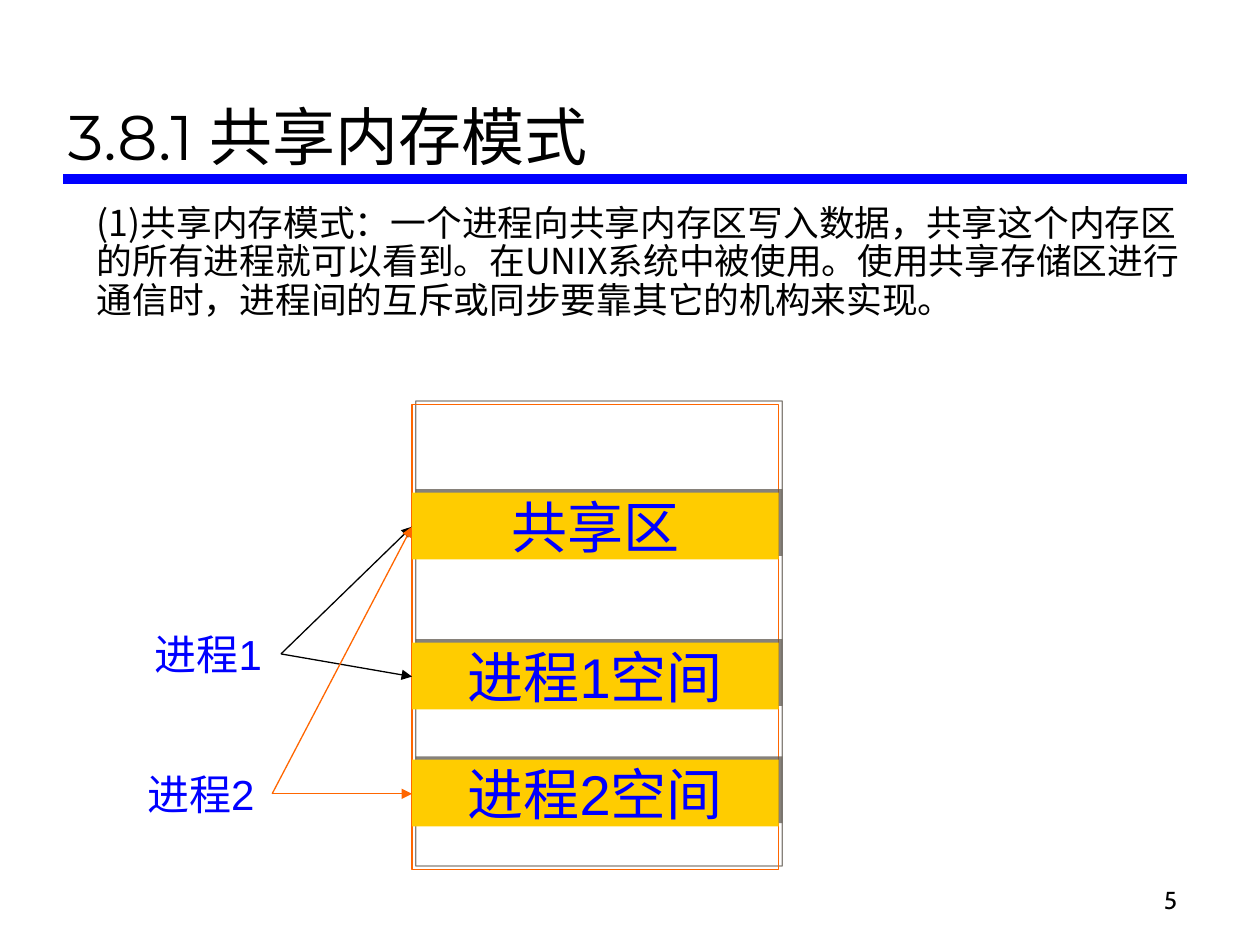
from dataclasses import dataclass

from lxml import etree
from pptx import Presentation
from pptx import util as u
from pptx.dml.color import RGBColor
from pptx.enum import shapes, text
from pptx.oxml import ns

COLORS = {"blue": "0000FF", "black": "000000", "orange": "FF6600",
          "gold": "FFCC00", "shadow": "5E574E"}
CJK = "Noto Sans CJK SC"
MEM_LEFT, MEM_WIDTH, BAND_HEIGHT = 3.27, 2.91, 0.53


@dataclass
class Label:
    words: str
    left: float
    top: float
    width: float
    height: float
    size: float
    font: str
    color: str = "black"
    anchor: text.MSO_ANCHOR = text.MSO_ANCHOR.TOP
    align: text.PP_ALIGN = text.PP_ALIGN.LEFT
    wrap: bool = True
    spacing: float = 1.0


@dataclass
class Band:
    words: str
    top: float


@dataclass
class Line:
    x1: float
    y1: float
    x2: float
    y2: float
    color: str
    width: float = 0.75
    arrow: bool = True


LABELS = [
    Label("5", 7.36, 6.81, 2.08, 0.5, 14, "Cabin",
          anchor=text.MSO_ANCHOR.BOTTOM, align=text.PP_ALIGN.RIGHT),
    Label("3.8.1 共享内存模式", 0.44, 0.17, 8.97, 1.25, 36, "Montserrat",
          anchor=text.MSO_ANCHOR.BOTTOM),
    Label("(1)共享内存模式：一个进程向共享内存区写入数据，共享这个内存区的所有进程就可以看到。"
          "在UNIX系统中被使用。使用共享存储区进行通信时，进程间的互斥或同步要靠其它的机构来实现。",
          0.67, 1.58, 8.9, 1.38, 20.4, CJK, spacing=0.9),
    Label("进程2", 1.07, 6.05, 1.13, 0.5, 24, "Arial", "blue", wrap=False),
    Label("进程1", 1.13, 4.94, 1.13, 0.5, 24, "Arial", "blue", wrap=False),
]
BANDS = [Band("共享区", 3.91), Band("进程1空间", 5.1), Band("进程2空间", 6.03)]
RULE = Line(0.5, 1.42, 9.42, 1.42, "blue", 6, False)
ARROWS = [
    Line(2.23, 5.19, MEM_LEFT, 4.18, "black"),
    Line(2.23, 5.19, MEM_LEFT, 5.37, "black"),
    Line(2.16, 6.3, MEM_LEFT, 6.3, "orange"),
    Line(2.16, 6.3, MEM_LEFT, 4.18, "orange"),
]


def rgb(name: str) -> RGBColor:
    """Look up a named colour."""
    return RGBColor.from_string(COLORS[name])


def write(tf, words: str, size: float, font: str, color: str, align) -> None:
    """Fill a text frame with one formatted paragraph."""
    tf.text = words
    p = tf.paragraphs[0]
    p.alignment = align
    for r in p.runs:
        r.font.size = u.Pt(size)
        r.font.name = font
        r.font.color.rgb = rgb(color)
        etree.SubElement(r.font._element, ns.qn("a:ea"), typeface=CJK)


def add_label(s, label: Label) -> None:
    """Add a text box."""
    sp = s.shapes.add_textbox(u.Inches(label.left), u.Inches(label.top),
                              u.Inches(label.width), u.Inches(label.height))
    tf = sp.text_frame
    tf.word_wrap = label.wrap
    tf.vertical_anchor = label.anchor
    write(tf, label.words, label.size, label.font, label.color, label.align)
    tf.paragraphs[0].line_spacing = label.spacing


def add_block(s, top: float, height: float):
    """Add a shadowed rectangle in the memory column."""
    sp = s.shapes.add_shape(shapes.MSO_SHAPE.RECTANGLE, u.Inches(MEM_LEFT),
                            u.Inches(top), u.Inches(MEM_WIDTH), u.Inches(height))
    sp.shadow.inherit = False
    effects = sp._element.spPr.find(ns.qn("a:effectLst"))
    shadow = etree.SubElement(effects, ns.qn("a:outerShdw"), blurRad="0",
                              dist=str(u.Pt(2.9)), dir=str(317 * 60000),
                              algn="ctr", rotWithShape="0")
    tint = etree.SubElement(shadow, ns.qn("a:srgbClr"), val=COLORS["shadow"])
    etree.SubElement(tint, ns.qn("a:alpha"), val="75000")
    return sp


def add_frame(s) -> None:
    """Add the outline of the whole memory."""
    sp = add_block(s, 3.21, 3.69)
    sp.fill.background()
    sp.line.color.rgb = rgb("orange")
    sp.line.width = u.Pt(0.75)


def add_band(s, band: Band) -> None:
    """Add a filled memory region with its name."""
    sp = add_block(s, band.top, BAND_HEIGHT)
    sp.fill.solid()
    sp.fill.fore_color.rgb = rgb("gold")
    sp.line.fill.background()
    tf = sp.text_frame
    tf.margin_left = tf.margin_right = tf.margin_top = tf.margin_bottom = 0
    tf.vertical_anchor = text.MSO_ANCHOR.TOP
    tf.auto_size = text.MSO_AUTO_SIZE.SHAPE_TO_FIT_TEXT
    write(tf, band.words, 32, "Arial", "blue", text.PP_ALIGN.CENTER)


def add_line(s, line: Line) -> None:
    """Add a straight connector, with an arrowhead if wanted."""
    sp = s.shapes.add_connector(shapes.MSO_CONNECTOR.STRAIGHT,
                                u.Inches(line.x1), u.Inches(line.y1),
                                u.Inches(line.x2), u.Inches(line.y2))
    sp.line.color.rgb = rgb(line.color)
    sp.line.width = u.Pt(line.width)
    if line.arrow:
        etree.SubElement(sp.line._get_or_add_ln(), ns.qn("a:tailEnd"), type="triangle")
    etree.SubElement(sp._element.spPr, ns.qn("a:effectLst"))


def main() -> None:
    """Build and save the slide."""
    prs = Presentation()
    prs.slide_width, prs.slide_height = u.Inches(10), u.Inches(7.5)
    s = prs.slides.add_slide(prs.slide_layouts[6])
    add_line(s, RULE)
    for label in LABELS:
        add_label(s, label)
    add_frame(s)
    for band in BANDS:
        add_band(s, band)
    for arrow in ARROWS:
        add_line(s, arrow)
    prs.save("out.pptx")


if __name__ == "__main__":
    main()
